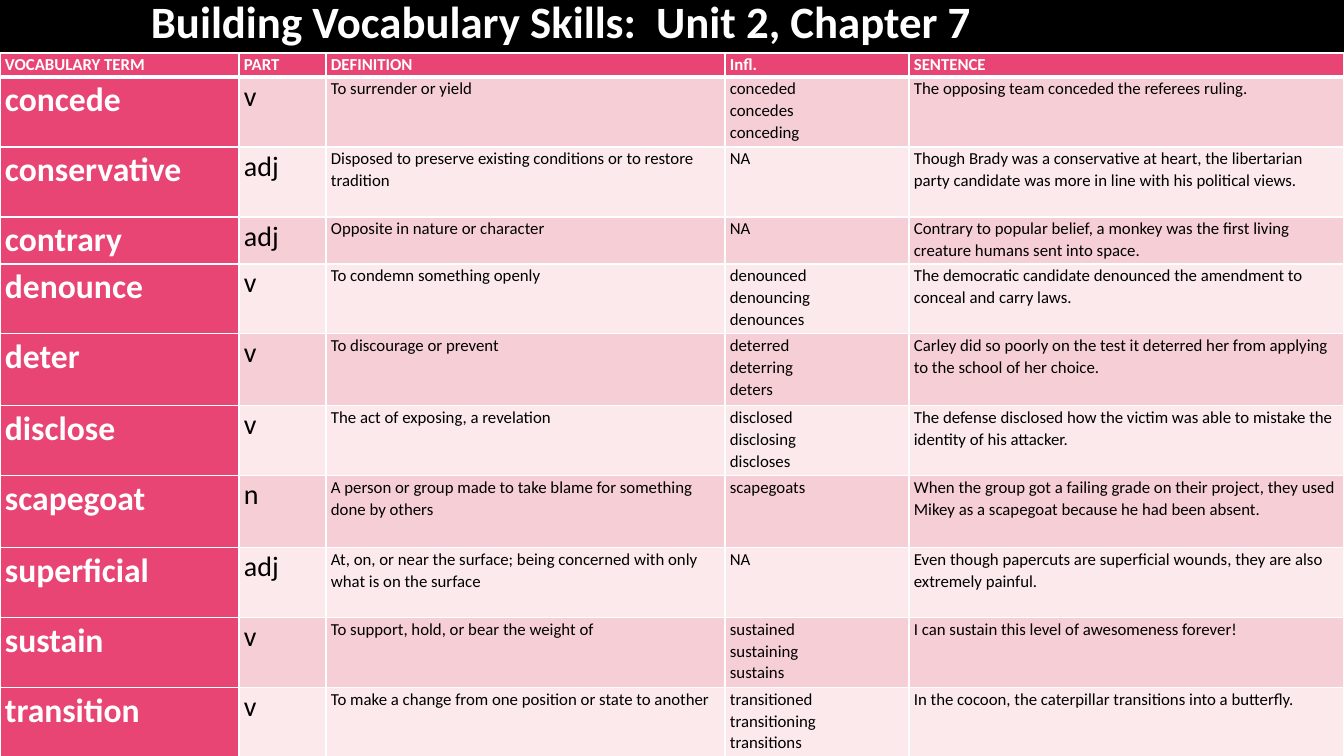
from lxml.etree import SubElement
from pptx import Presentation
from pptx.dml.color import RGBColor
from pptx.enum.text import MSO_AUTO_SIZE as AutoSize
from pptx.oxml.ns import qn
from pptx.util import Emu, Pt

COLORS = {
    "black": "000000",
    "white": "FFFFFF",
    "pink": "E84574",
    "rose": "F6CFD6",
    "blush": "FBE9EB",
}
HEADINGS = ("VOCABULARY TERM", "PART", "DEFINITION", "Infl.", "SENTENCE")
VOCABULARY = [
    ("concede", "v", "To surrender or yield", "conceded\nconcedes\nconceding",
     "The opposing team conceded the referees ruling."),
    ("conservative", "adj",
     "Disposed to preserve existing conditions or to restore tradition", "NA",
     "Though Brady was a conservative at heart, the libertarian party candidate "
     "was more in line with his political views."),
    ("contrary", "adj", "Opposite in nature or character", "NA",
     "Contrary to popular belief, a monkey was the first living creature humans "
     "sent into space."),
    ("denounce", "v", "To condemn something openly", "denounced\ndenouncing\ndenounces",
     "The democratic candidate denounced the amendment to conceal and carry laws."),
    ("deter", "v", "To discourage or prevent", "deterred\ndeterring\ndeters",
     "Carley did so poorly on the test it deterred her from applying to the school "
     "of her choice."),
    ("disclose", "v", "The act of exposing, a revelation",
     "disclosed\ndisclosing\ndiscloses",
     "The defense disclosed how the victim was able to mistake the identity of his "
     "attacker."),
    ("scapegoat", "n", "A person or group made to take blame for something done by others",
     "scapegoats",
     "When the group got a failing grade on their project, they used Mikey as a "
     "scapegoat because he had been absent."),
    ("superficial", "adj",
     "At, on, or near the surface; being concerned with only what is on the surface", "NA",
     "Even though papercuts are superficial wounds, they are also extremely painful."),
    ("sustain", "v", "To support, hold, or bear the weight of",
     "sustained\nsustaining\nsustains",
     "I can sustain this level of awesomeness forever!"),
    ("transition", "v", "To make a change from one position or state to another",
     "transitioned\ntransitioning\ntransitions",
     "In the cocoon, the caterpillar transitions into a butterfly."),
]
COLUMN_WIDTHS = (239, 87, 399, 184, 435)
ROW_HEIGHTS = (24, 70, 70, 47, 70, 72, 70, 72, 70, 70, 70)
BODY_SIZES = (24, 20, 12, 12, 12)


def px(length):
    return Emu(round(length * 914400 / 100.8))


class VocabularySlide:
    font_name = "Calibri"

    def __init__(self, presentation):
        self.slide = presentation.slides.add_slide(presentation.slide_layouts[6])

    def background(self, color):
        fill = self.slide.background.fill
        fill.solid()
        fill.fore_color.rgb = RGBColor.from_string(COLORS[color])

    def style(self, paragraph, size, color, bold):
        font = paragraph.font
        font.name = self.font_name
        font.size = Pt(size)
        font.bold = bold
        font.color.rgb = RGBColor.from_string(COLORS[color])

    def title(self, text, left, top, width, height):
        frame = self.slide.shapes.add_textbox(
            px(left), px(top), px(width), px(height)).text_frame
        frame.word_wrap = False
        frame.auto_size = AutoSize.SHAPE_TO_FIT_TEXT
        frame.text = text
        self.style(frame.paragraphs[0], 32, "white", True)

    def borders(self, cell, top, bottom):
        properties = cell._tc.get_or_add_tcPr()
        for side, width in (("L", 1), ("R", 1), ("T", top), ("B", bottom)):
            line = SubElement(properties, qn(f"a:ln{side}"), w=str(Pt(width)))
            solid = SubElement(line, qn("a:solidFill"))
            SubElement(solid, qn("a:srgbClr"), val=COLORS["white"])

    def cell(self, cell, text, size, color, fill, bold):
        cell.margin_left = cell.margin_right = px(5)
        cell.margin_top = cell.margin_bottom = 0
        cell.fill.solid()
        cell.fill.fore_color.rgb = RGBColor.from_string(COLORS[fill])
        cell.text = text
        for paragraph in cell.text_frame.paragraphs:
            paragraph.line_spacing = 1.07
            self.style(paragraph, size, color, bold)

    def vocabulary_table(self, left, top):
        rows = [HEADINGS, *VOCABULARY]
        table = self.slide.shapes.add_table(
            len(rows), len(HEADINGS), px(left), px(top),
            px(sum(COLUMN_WIDTHS)), px(sum(ROW_HEIGHTS))).table
        table.first_col = True
        for column, width in zip(table.columns, COLUMN_WIDTHS):
            column.width = px(width)
        for row, height in zip(table.rows, ROW_HEIGHTS):
            row.height = px(height)
        for r, entries in enumerate(rows):
            band = "rose" if r % 2 else "blush"
            for c, text in enumerate(entries):
                strong = r == 0 or c == 0
                cell = table.cell(r, c)
                self.borders(cell, 3 if r == 1 else 1, 3 if r == 0 else 1)
                self.cell(cell, text, BODY_SIZES[c] if r else 12,
                          "white" if strong else "black",
                          "pink" if strong else band, strong)


def main():
    presentation = Presentation()
    presentation.slide_width = px(1344)
    presentation.slide_height = px(756)
    page = VocabularySlide(presentation)
    page.background("black")
    page.title("Building Vocabulary Skills:  Unit 2, Chapter 7", 141, -11, 848, 65)
    page.vocabulary_table(0, 53)
    presentation.save("out.pptx")


if __name__ == "__main__":
    main()
